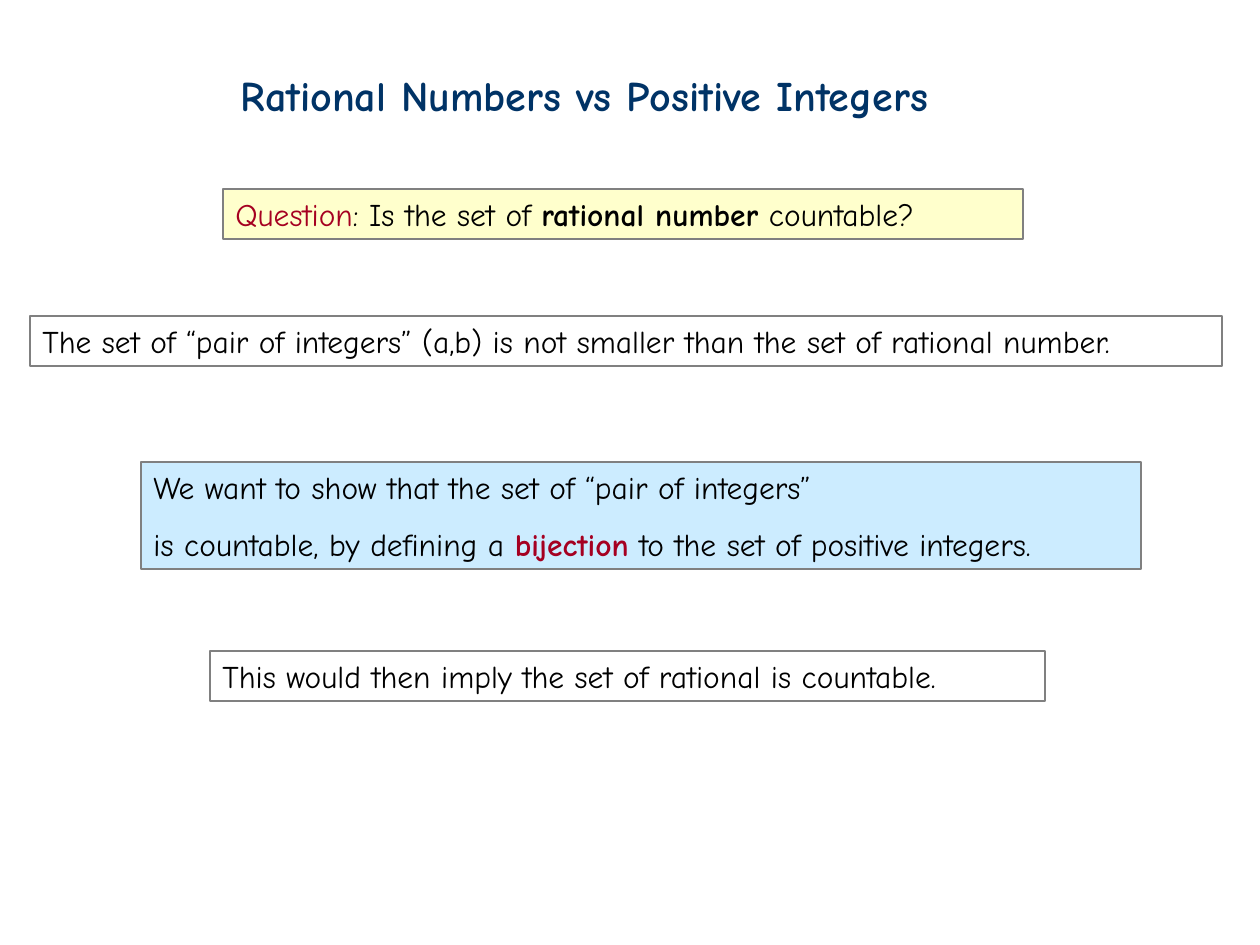
from typing import NamedTuple

from pptx import Presentation
from pptx import util as u
from pptx.dml.color import RGBColor
from pptx.enum import shapes, text

SCALE = u.Inches(1) / 126  # EMU per px
FONT = "Comic Neue"
COLORS = {
    "title": "003366",
    "text": "000000",
    "accent": "A50021",
    "line": "808080",
    "yellow": "FFFFCC",
    "blue": "CCECFF",
}


class Run(NamedTuple):
    words: str
    color: str = "text"
    bold: bool = False


class Line(NamedTuple):
    runs: list[Run]
    spacing: float = 1.0


class Box(NamedTuple):
    left: int
    top: int
    width: int
    height: int
    lines: list[Line]
    fill: str | None = None
    size: int = 18


TITLE = Box(228, 63, 809, 63, [
    Line([Run("Rational Numbers vs Positive Integers", "title", True)]),
], size=24)

BOXES = [
    Box(223, 189, 800, 50, [
        Line([
            Run("Question", "accent"),
            Run(": Is the set of "),
            Run("rational number", bold=True),
            Run(" countable?"),
        ]),
    ], "yellow"),
    Box(30, 316, 1192, 50, [
        Line([Run("The set of “pair of integers” (a,b) is not smaller "
                  "than the set of rational number.")]),
    ]),
    Box(141, 462, 1000, 107, [
        Line([Run("We want to show that the set of “pair of integers”")]),
        Line([
            Run("is countable, by defining a "),
            Run("bijection", "accent", True),
            Run(" to the set of positive integers."),
        ], 1.5),
    ], "blue"),
    Box(210, 651, 835, 50, [
        Line([Run("This would then imply the set of rational is countable.")]),
    ]),
]


def emu(px: int) -> int:
    return round(px * SCALE)


def rgb(name: str) -> RGBColor:
    return RGBColor.from_string(COLORS[name])


def apply(target, values: dict) -> None:
    """Set each named attribute of the target."""
    for name, value in values.items():
        setattr(target, name, value)


def write(shape, box: Box) -> None:
    """Fill a shape with the formatted lines of its box."""
    frame = shape.text_frame
    apply(frame, {
        "word_wrap": True,
        "auto_size": text.MSO_AUTO_SIZE.NONE,
        "vertical_anchor": text.MSO_ANCHOR.TOP,
    })
    for i, line in enumerate(box.lines):
        para = frame.add_paragraph() if i else frame.paragraphs[0]
        apply(para, {
            "alignment": text.PP_ALIGN.LEFT,
            "line_spacing": line.spacing,
        })
        for part in line.runs:
            run = para.add_run()
            run.text = part.words
            apply(run.font, {
                "name": FONT,
                "size": u.Pt(box.size),
                "bold": part.bold,
            })
            run.font.color.rgb = rgb(part.color)


def draw(slide, box: Box) -> None:
    shape = slide.shapes.add_shape(
        shapes.MSO_SHAPE.RECTANGLE, *map(emu, box[:4]))
    shape.shadow.inherit = False
    if box.fill:
        shape.fill.solid()
        shape.fill.fore_color.rgb = rgb(box.fill)
    else:
        shape.fill.background()
    shape.line.color.rgb = rgb("line")
    shape.line.width = u.Pt(0.75)
    write(shape, box)


def main() -> None:
    deck = Presentation()
    apply(deck, {"slide_width": emu(1260), "slide_height": emu(945)})
    slide = deck.slides.add_slide(deck.slide_layouts.get_by_name("Title Only"))
    title = slide.shapes.title
    apply(title, dict(zip(("left", "top", "width", "height"),
                          map(emu, TITLE[:4]))))
    write(title, TITLE)
    for box in BOXES:
        draw(slide, box)
    deck.save("out.pptx")


if __name__ == "__main__":
    main()
